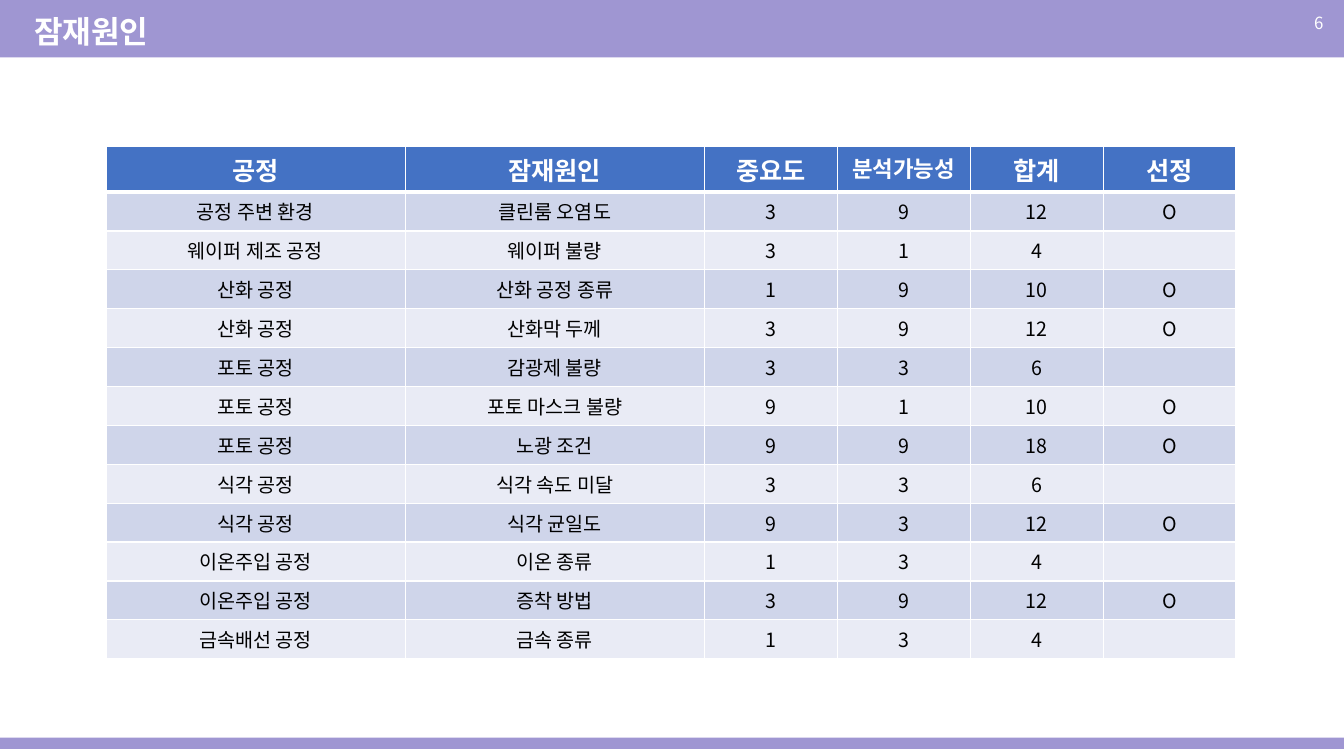
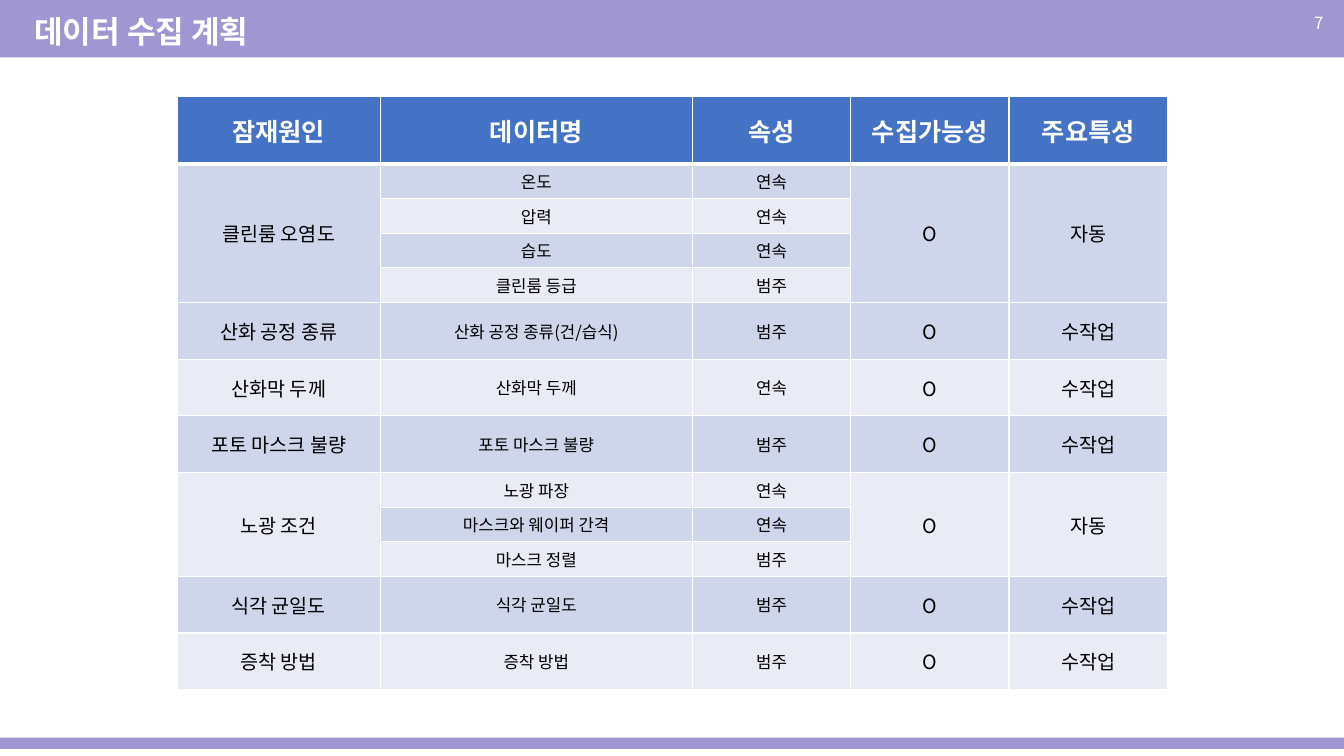
from lxml.etree import SubElement
from pptx import Presentation
from pptx.dml.color import RGBColor
from pptx.enum.shapes import MSO_SHAPE as Shape
from pptx.enum.text import MSO_ANCHOR as Anchor, MSO_AUTO_SIZE as AutoSize, PP_ALIGN as Align
from pptx.oxml.ns import qn
from pptx.util import Cm, Pt

# Shared style
FONT = "Noto Sans CJK KR"
COLORS = {
    "band": "9F96D2",
    "header": "4472C4",
    "odd_row": "CFD5EA",
    "even_row": "E9EBF5",
    "white": "FFFFFF",
    "black": "000000",
}
SLIDE_WIDTH, SLIDE_HEIGHT = 33.87, 19.05
TITLE_ONLY = 5

# Potential causes: process, cause, importance, analysability
CAUSE_HEADERS = ["공정", "잠재원인", "중요도", "분석가능성", "합계", "선정"]
CAUSES = [
    ("공정 주변 환경", "클린룸 오염도", 3, 9),
    ("웨이퍼 제조 공정", "웨이퍼 불량", 3, 1),
    ("산화 공정", "산화 공정 종류", 1, 9),
    ("산화 공정", "산화막 두께", 3, 9),
    ("포토 공정", "감광제 불량", 3, 3),
    ("포토 공정", "포토 마스크 불량", 9, 1),
    ("포토 공정", "노광 조건", 9, 9),
    ("식각 공정", "식각 속도 미달", 3, 3),
    ("식각 공정", "식각 균일도", 9, 3),
    ("이온주입 공정", "이온 종류", 1, 3),
    ("이온주입 공정", "증착 방법", 3, 9),
    ("금속배선 공정", "금속 종류", 1, 3),
]
SELECTION_MINIMUM = 10

# Data plan: cause, its data items with their types, collection method
PLAN_HEADERS = ["잠재원인", "데이터명", "속성", "수집가능성", "주요특성"]
PLAN = [
    ("클린룸 오염도",
     [("온도", "연속"), ("압력", "연속"), ("습도", "연속"), ("클린룸 등급", "범주")], "자동"),
    ("산화 공정 종류", [("산화 공정 종류(건/습식)", "범주")], "수작업"),
    ("산화막 두께", [("산화막 두께", "연속")], "수작업"),
    ("포토 마스크 불량", [("포토 마스크 불량", "범주")], "수작업"),
    ("노광 조건",
     [("노광 파장", "연속"), ("마스크와 웨이퍼 간격", "연속"), ("마스크 정렬", "범주")], "자동"),
    ("식각 균일도", [("식각 균일도", "범주")], "수작업"),
    ("증착 방법", [("증착 방법", "범주")], "수작업"),
]


def rgb(name):
    return RGBColor.from_string(COLORS[name])


def write(text_frame, text, size, color="white", bold=False, align=Align.LEFT):
    """Set one formatted paragraph and return it."""
    text_frame.text = text
    paragraph = text_frame.paragraphs[0]
    paragraph.alignment = align
    for run in paragraph.runs:
        run.font.size = Pt(size)
        run.font.bold = bold
        run.font.color.rgb = rgb(color)
        run.font.name = FONT
        east_asian = SubElement(run.font._element, qn("a:ea"))
        east_asian.set("typeface", FONT)
    # An empty cell keeps its height from the end mark
    end_mark = SubElement(paragraph._p, qn("a:endParaRPr"))
    end_mark.set("sz", str(size * 100) if isinstance(size, int) else str(round(size * 100)))
    return paragraph


# Bands, title and page number
def add_band(slide, top, height):
    band = slide.shapes.add_shape(
        Shape.RECTANGLE, Cm(0), Cm(top), Cm(SLIDE_WIDTH), Cm(height))
    band.shadow.inherit = False
    band.fill.solid()
    band.fill.fore_color.rgb = rgb("band")
    band.line.fill.background()
    slide.shapes.title.element.addprevious(band.element)


def add_slide(presentation, title_text, page_number):
    slide = presentation.slides.add_slide(presentation.slide_layouts[TITLE_ONLY])
    add_band(slide, 0, 1.45)
    add_band(slide, 18.59, 0.28)

    title = slide.shapes.title
    title.left, title.top, title.width, title.height = Cm(0.61), Cm(0.41), Cm(30.3), Cm(0.97)
    title.text_frame.auto_size = AutoSize.NONE
    title.text_frame.vertical_anchor = Anchor.MIDDLE
    write(title.text_frame, title_text, 22.2, bold=True).line_spacing = 0.7

    number = slide.shapes.add_textbox(Cm(25.98), Cm(0.2), Cm(7.62), Cm(1.02))
    number.text_frame.word_wrap = True
    write(number.text_frame, str(page_number), 12, align=Align.RIGHT)
    return slide


# Tables
def set_borders(cell, top=1, bottom=1):
    properties = cell._tc.get_or_add_tcPr()
    widths = {"a:lnL": 1, "a:lnR": 1, "a:lnT": top, "a:lnB": bottom}
    for position, (tag, width) in enumerate(widths.items()):
        line = SubElement(properties, qn(tag), w=str(Pt(width)))
        fill = SubElement(line, qn("a:solidFill"))
        SubElement(fill, qn("a:srgbClr"), val=COLORS["white"])
        properties.insert(position, line)


def merge_continued_cells(table, rows):
    """Join each text with the None entries that follow it below."""
    for column in range(len(rows[0])):
        start = 0
        for index in range(1, len(rows) + 1):
            if index == len(rows) or rows[index][column] is not None:
                if index - start > 1:
                    table.cell(start, column).merge(table.cell(index - 1, column))
                start = index


def add_table(slide, left, top, widths, heights, rows, header_sizes, body_sizes, anchor):
    frame = slide.shapes.add_table(
        len(rows), len(widths), Cm(left), Cm(top), Cm(sum(widths)), Cm(sum(heights)))
    table = frame.table
    for column, width in zip(table.columns, widths):
        column.width = Cm(width)
    for row, height in zip(table.rows, heights):
        row.height = Cm(height)

    for row_index, values in enumerate(rows):
        is_header = row_index == 0
        sizes = header_sizes if is_header else body_sizes
        fill = "header" if is_header else ("odd_row" if row_index % 2 else "even_row")
        for column_index, value in enumerate(values):
            cell = table.cell(row_index, column_index)
            cell.vertical_anchor = anchor
            cell.fill.solid()
            cell.fill.fore_color.rgb = rgb(fill)
            set_borders(cell, top=3 if row_index == 1 else 1, bottom=3 if is_header else 1)
            write(cell.text_frame, "" if value is None else str(value), sizes[column_index],
                  "white" if is_header else "black", is_header, Align.CENTER)
    merge_continued_cells(table, rows)


# Slides
def add_causes_slide(presentation):
    slide = add_slide(presentation, "잠재원인", 6)
    rows = [CAUSE_HEADERS]
    for process, cause, importance, analysability in CAUSES:
        total = importance + analysability
        selected = "O" if total >= SELECTION_MINIMUM else ""
        rows.append([process, cause, importance, analysability, total, selected])
    add_table(slide, 2.67, 3.69, [7.54] * 2 + [3.35] * 4, [1.15] + [0.98] * len(CAUSES),
              rows, [18, 18, 18, 16, 18, 18], [14] * 6, Anchor.TOP)


def add_plan_slide(presentation):
    slide = add_slide(presentation, "데이터 수집 계획", 7)
    rows, heights = [PLAN_HEADERS], [1.7]
    for cause, items, method in PLAN:
        for index, (name, kind) in enumerate(items):
            shared = (cause, "O", method) if index == 0 else (None, None, None)
            rows.append([shared[0], name, kind, shared[1], shared[2]])
            heights.append(1.43 if len(items) == 1 else 0.87)
    add_table(slide, 4.47, 2.44, [5.11, 7.87] + [3.99] * 3, heights,
              rows, [18] * 5, [14, 12, 12, 14, 14], Anchor.MIDDLE)


def main():
    presentation = Presentation()
    presentation.slide_width, presentation.slide_height = Cm(SLIDE_WIDTH), Cm(SLIDE_HEIGHT)
    add_causes_slide(presentation)
    add_plan_slide(presentation)
    presentation.save("out.pptx")


if __name__ == "__main__":
    main()
